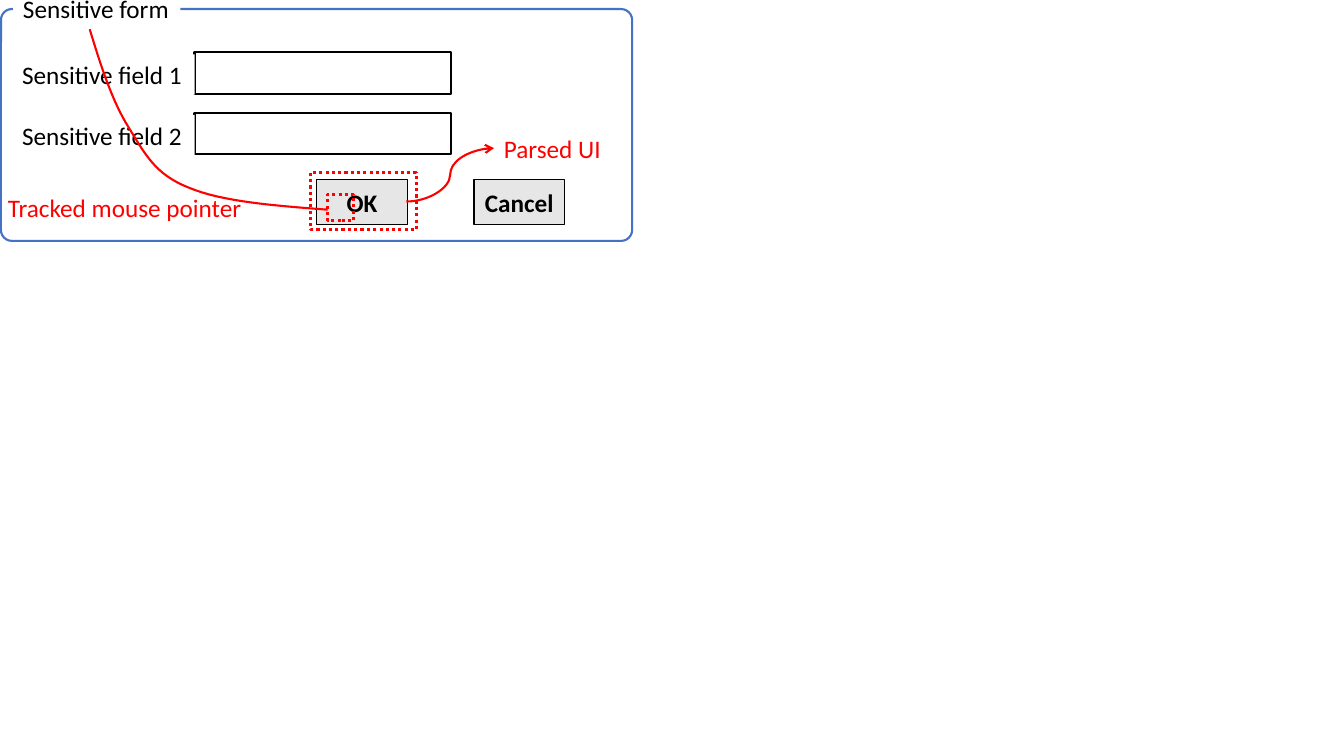
from lxml import etree
from pptx import Presentation
from pptx.dml.color import RGBColor
from pptx.enum.dml import MSO_LINE
from pptx.enum.shapes import MSO_CONNECTOR, MSO_SHAPE
from pptx.enum.text import MSO_ANCHOR, MSO_AUTO_SIZE, PP_ALIGN
from pptx.oxml.ns import qn
from pptx.util import Inches, Pt

RECTANGLE = MSO_SHAPE.RECTANGLE
ROUNDED = MSO_SHAPE.ROUNDED_RECTANGLE
CURVE = MSO_CONNECTOR.CURVE
DOTTED = MSO_LINE.ROUND_DOT
MIDDLE, TOP = MSO_ANCHOR.MIDDLE, MSO_ANCHOR.TOP
CENTER, LEFT = PP_ALIGN.CENTER, PP_ALIGN.LEFT
FIT_TEXT = MSO_AUTO_SIZE.SHAPE_TO_FIT_TEXT

BLACK = RGBColor(0x00, 0x00, 0x00)
WHITE = RGBColor(0xFF, 0xFF, 0xFF)
GRAY = RGBColor(0xE7, 0xE6, 0xE6)
BLUE = RGBColor(0x44, 0x72, 0xC4)
RED = RGBColor(0xFF, 0x00, 0x00)

PX = Inches(1) // 100
BLANK_LAYOUT = 6
CURVE_STEPS = 16


class FormSlide:
    """Draws form elements in one style on one slide, measured in px of 1/100 inch."""

    font_name = "Calibri"
    font_size = Pt(18)

    def __init__(self, slide):
        self.slide = slide

    def box(self, left, top, width, height, fill=None, line=None, weight=1.5, preset=RECTANGLE):
        shape = self.slide.shapes.add_shape(preset, left * PX, top * PX, width * PX, height * PX)
        shape.shadow.inherit = False
        if fill is None:
            shape.fill.background()
        else:
            shape.fill.solid()
            shape.fill.fore_color.rgb = fill
        if line is None:
            shape.line.fill.background()
        else:
            self.outline(shape, line, weight)
        return shape

    def outline(self, shape, color, weight):
        shape.line.color.rgb = color
        shape.line.width = Pt(weight)

    def set_text(self, shape, text, color, bold=False, align=LEFT, anchor=TOP):
        frame = shape.text_frame
        frame.text = text
        frame.vertical_anchor = anchor
        paragraph = frame.paragraphs[0]
        paragraph.alignment = align
        font = paragraph.runs[0].font
        font.name, font.size, font.bold = self.font_name, self.font_size, bold
        font.color.rgb = color

    def fit(self, shape):
        shape.text_frame.word_wrap = False
        shape.text_frame.auto_size = FIT_TEXT

    def panel(self, left, top, width, height):
        shape = self.box(left, top, width, height, WHITE, BLUE, preset=ROUNDED)
        shape.adjustments[0] = 0.047

    def label(self, left, top, width, text):
        shape = self.box(left, top, width, 40, WHITE)
        self.set_text(shape, text, BLACK)
        self.fit(shape)

    def button(self, left, top, text):
        shape = self.box(left, top, 90, 45, GRAY, BLACK, 1)
        self.set_text(shape, text, BLACK, True, CENTER, MIDDLE)

    def field(self, top, text):
        self.box(193, top, 254, 41, WHITE, BLACK)
        self.label(12, top + 2, 181, text)

    def highlight(self, left, top, width, height):
        shape = self.box(left, top, width, height, line=RED, weight=2.25)
        shape.line.dash_style = DOTTED

    def note(self, left, top, width, text):
        shape = self.slide.shapes.add_textbox(left * PX, top * PX, width * PX, 40 * PX)
        self.set_text(shape, text, RED)
        self.fit(shape)

    def trail(self, start, curves):
        points, current = [], start
        for first, second, end in curves:
            for step in range(1, CURVE_STEPS + 1):
                t = step / CURVE_STEPS
                s = 1 - t
                points.append(tuple(
                    (s**3 * a + 3 * s * s * t * b + 3 * s * t * t * c + t**3 * d) * PX
                    for a, b, c, d in zip(current, first, second, end)))
            current = end
        builder = self.slide.shapes.build_freeform(start[0] * PX, start[1] * PX)
        builder.add_line_segments(points, close=False)
        shape = builder.convert_to_shape()
        shape.shadow.inherit = False
        shape.fill.background()
        self.outline(shape, RED, 1.5)

    def arrow(self, start, end):
        connector = self.slide.shapes.add_connector(CURVE, *(value * PX for value in start + end))
        self.outline(connector, RED, 1.5)
        properties = connector._element.spPr
        etree.SubElement(properties.find(qn("a:ln")), qn("a:tailEnd"), type="arrow")
        etree.SubElement(properties, qn("a:effectLst"))


def main():
    presentation = Presentation()
    presentation.slide_width = 1333 * PX
    presentation.slide_height = 750 * PX
    form = FormSlide(presentation.slides.add_slide(presentation.slide_layouts[BLANK_LAYOUT]))

    form.panel(1, 9, 626, 230)
    form.label(13, -12, 166, "Sensitive form")
    for left, text in ((314, "OK"), (470, "Cancel")):
        form.button(left, 178, text)
    for number in (1, 2):
        form.field(52 + 60 * (number - 1), f"Sensitive field {number}")

    form.highlight(325, 193, 26, 26)
    form.highlight(308, 171, 105, 57)
    form.trail((89, 29), (
        ((100, 65), (111, 100), (128, 127)),
        ((144, 153), (154, 173), (187, 186)),
        ((220, 200), (272, 204), (325, 208)),
    ))
    form.note(-2, 186, 254, "Tracked mouse pointer")
    form.note(490, 127, 117, "Parsed UI")
    form.arrow((403, 200), (490, 147))

    presentation.save("out.pptx")


if __name__ == "__main__":
    main()
